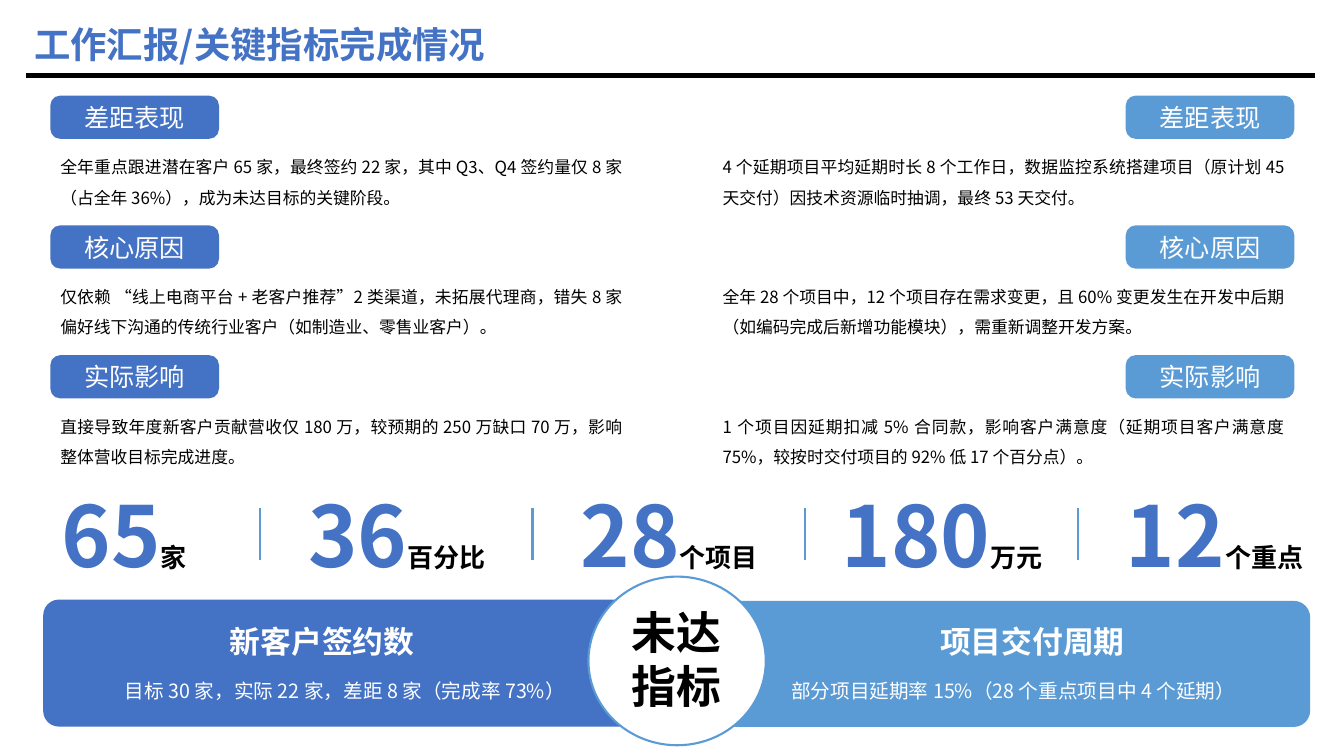
from dataclasses import dataclass
from lxml import etree
from pptx import Presentation
from pptx import util as u
from pptx.dml import color as dml
from pptx.enum import shapes, text
from pptx.oxml import ns

Cm = u.Cm
ALIGN = text.PP_ALIGN
KIND = shapes.MSO_SHAPE


@dataclass
class Theme:
    font: str = "Noto Sans CJK SC"
    blue: str = "4472C4"
    sky: str = "5B9BD5"
    black: str = "000000"
    white: str = "FFFFFF"
    title: float = 26
    centre: float = 32
    heading: float = 22
    detail: float = 14
    tag: float = 18
    body: float = 12
    number: float = 60
    unit: float = 18.6


def write(sp, words, size, color, bold=False, align=ALIGN.LEFT,
          spacing=None, after=None, join=False):
    """Write lines of text; join=True continues the last paragraph."""
    tf = sp.text_frame
    tf.word_wrap = True
    if sp.shape_type == shapes.MSO_SHAPE_TYPE.TEXT_BOX:
        tf.auto_size = text.MSO_AUTO_SIZE.SHAPE_TO_FIT_TEXT
    for i, line in enumerate(words.split("\n")):
        p = tf.add_paragraph() if i else tf.paragraphs[-1]
        if not join:
            p.alignment = align
            p.line_spacing = spacing
            p.space_after = after
        r = p.add_run()
        r.text = line
        r.font.size, r.font.bold, r.font.name = u.Pt(size), bold, t.font
        r.font.color.rgb = dml.RGBColor.from_string(color)
        ea = etree.SubElement(r.font._element, ns.qn("a:ea"))
        ea.set("typeface", t.font)


def draw(kind, box, fill=None, line=None, width=1.5, radius=None):
    """Add a filled shape, or a straight line when kind is None."""
    if kind is None:
        sp = s.shapes.add_connector(shapes.MSO_CONNECTOR.STRAIGHT, *map(Cm, box))
        etree.SubElement(sp._element.spPr, ns.qn("a:effectLst"))
    else:
        sp = s.shapes.add_shape(kind, *map(Cm, box))
        sp.shadow.inherit = False
        sp.fill.solid()
        sp.fill.fore_color.rgb = dml.RGBColor.from_string(fill)
    if radius:
        sp.adjustments[0] = radius
    if line:
        sp.line.color.rgb = dml.RGBColor.from_string(line)
        sp.line.width = u.Pt(width)
    else:
        sp.line.fill.background()
    return sp


t = Theme()
prs = Presentation()
prs.slide_width, prs.slide_height = Cm(33.87), Cm(19.05)
s = prs.slides.add_slide(prs.slide_layouts[6])

# Title and rule
draw(None, (0.66, 1.9, 33.15, 1.9), line=t.black, width=3)
title = s.shapes.add_textbox(Cm(0.61), Cm(0.43), Cm(17.32), Cm(1.37))
write(title, "工作汇报/关键指标完成情况", t.title, t.blue, bold=True)

# Bottom banners and the circle between them
draw(KIND.ROUNDED_RECTANGLE, (1.09, 15.11, 15.57, 3.2), t.blue, radius=0.123)
draw(KIND.ROUNDED_RECTANGLE, (17.48, 15.14, 15.54, 3.18), t.sky, radius=0.132)
draw(KIND.OVAL, (14.83, 14.53, 4.47, 4.25), t.white, line=t.sky)
centre = s.shapes.add_textbox(Cm(14.45), Cm(15.11), Cm(5.21), Cm(3))
write(centre, "未达\n指标", t.centre, t.black, bold=True, align=ALIGN.CENTER)

banners = [
    (1.4, "新客户签约数", 2.9, 11.94, "目标 30 家，实际 22 家，差距 8 家（完成率 73%）"),
    (19.3, "项目交付周期", 19.69, 12.24, "部分项目延期率 15%（28 个重点项目中 4 个延期）"),
]
for head_x, head, detail_x, detail_w, detail in banners:
    sp = s.shapes.add_textbox(Cm(head_x), Cm(15.57), Cm(13.44), Cm(1.19))
    write(sp, head, t.heading, t.white, bold=True, align=ALIGN.CENTER)
    sp = s.shapes.add_textbox(Cm(detail_x), Cm(16.99), Cm(detail_w), Cm(0.86))
    write(sp, detail, t.detail, t.white)

# Two columns of tagged findings
tags = ["差距表现", "核心原因", "实际影响"]
columns = [
    (1.27, 1.27, t.blue, [
        "全年重点跟进潜在客户 65 家，最终签约 22 家，其中 Q3、Q4 签约量仅 8 家（占全年 36%），成为未达目标的关键阶段。",
        "仅依赖 “线上电商平台 + 老客户推荐”2 类渠道，未拓展代理商，错失 8 家偏好线下沟通的传统行业客户（如制造业、零售业客户）。",
        "直接导致年度新客户贡献营收仅 180 万，较预期的 250 万缺口 70 万，影响整体营收目标完成进度。",
    ]),
    (17.96, 28.37, t.sky, [
        "4 个延期项目平均延期时长 8 个工作日，数据监控系统搭建项目（原计划 45 天交付）因技术资源临时抽调，最终 53 天交付。",
        "全年 28 个项目中，12 个项目存在需求变更，且 60% 变更发生在开发中后期（如编码完成后新增功能模块），需重新调整开发方案。",
        "1 个项目因延期扣减 5% 合同款，影响客户满意度（延期项目客户满意度 75%，较按时交付项目的 92% 低 17 个百分点）。",
    ]),
]
for body_x, tag_x, color, findings in columns:
    for i, (tag, finding) in enumerate(zip(tags, findings)):
        top = 2.41 + 3.27 * i
        sp = s.shapes.add_textbox(Cm(body_x), Cm(top + 1.17), Cm(14.66), Cm(1.8))
        write(sp, finding, t.body, t.black, align=ALIGN.JUSTIFY,
              spacing=1.5, after=u.Pt(10))
        sp = draw(KIND.ROUNDED_RECTANGLE, (tag_x, top, 4.25, 1.09), color, radius=0.229)
        sp.text_frame.vertical_anchor = text.MSO_ANCHOR.MIDDLE
        write(sp, tag, t.tag, t.white, align=ALIGN.CENTER)

# Key figures with dividers
figures = [("65", "家"), ("36", "百分比"), ("28", "个项目"), ("180", "万元"), ("12", "个重点")]
pitch = 6.87
for i, (number, unit) in enumerate(figures):
    sp = s.shapes.add_textbox(Cm(0.08 + pitch * i), Cm(12.07), Cm(6.1), Cm(2.82))
    write(sp, number, t.number, t.blue, bold=True, align=ALIGN.CENTER)
    write(sp, unit, t.unit, t.black, bold=True, join=True)
    if i:
        x = 6.55 + pitch * (i - 1)
        draw(None, (x, 12.8, x, 14.12), line=t.sky)

prs.save("out.pptx")
